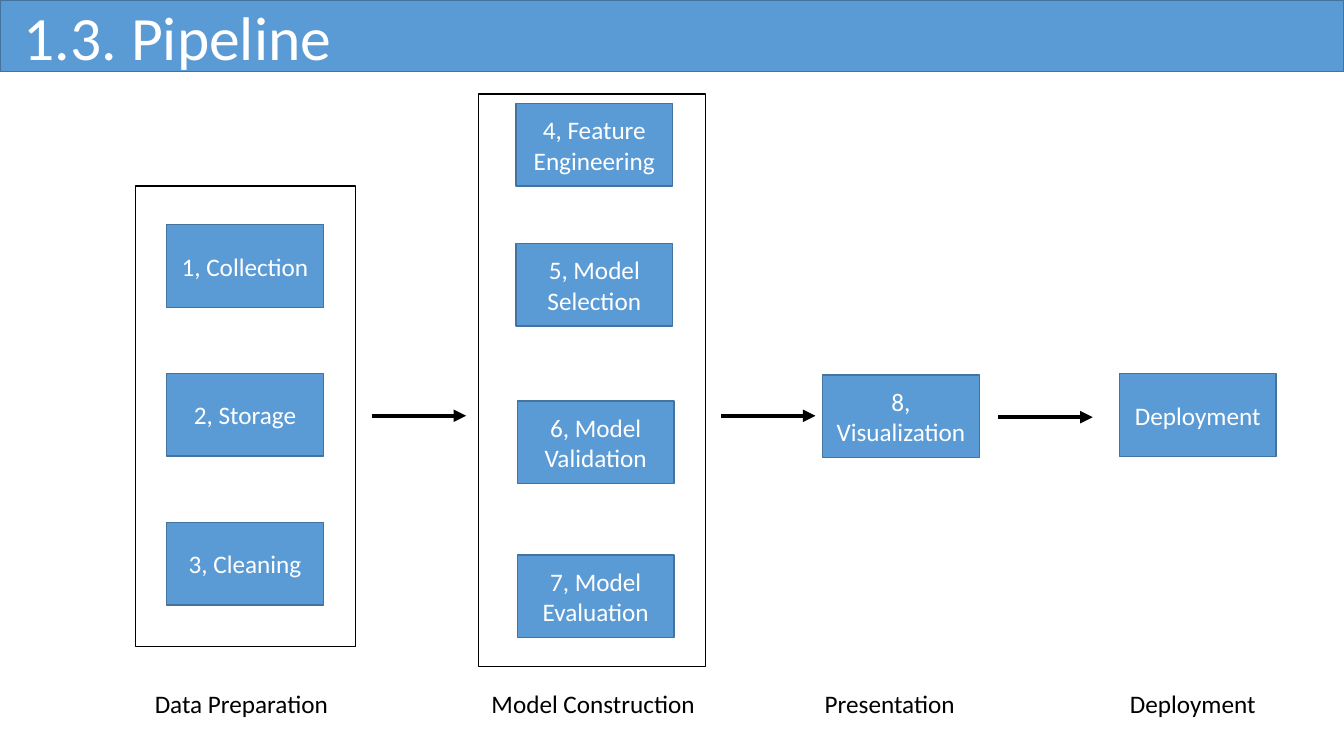
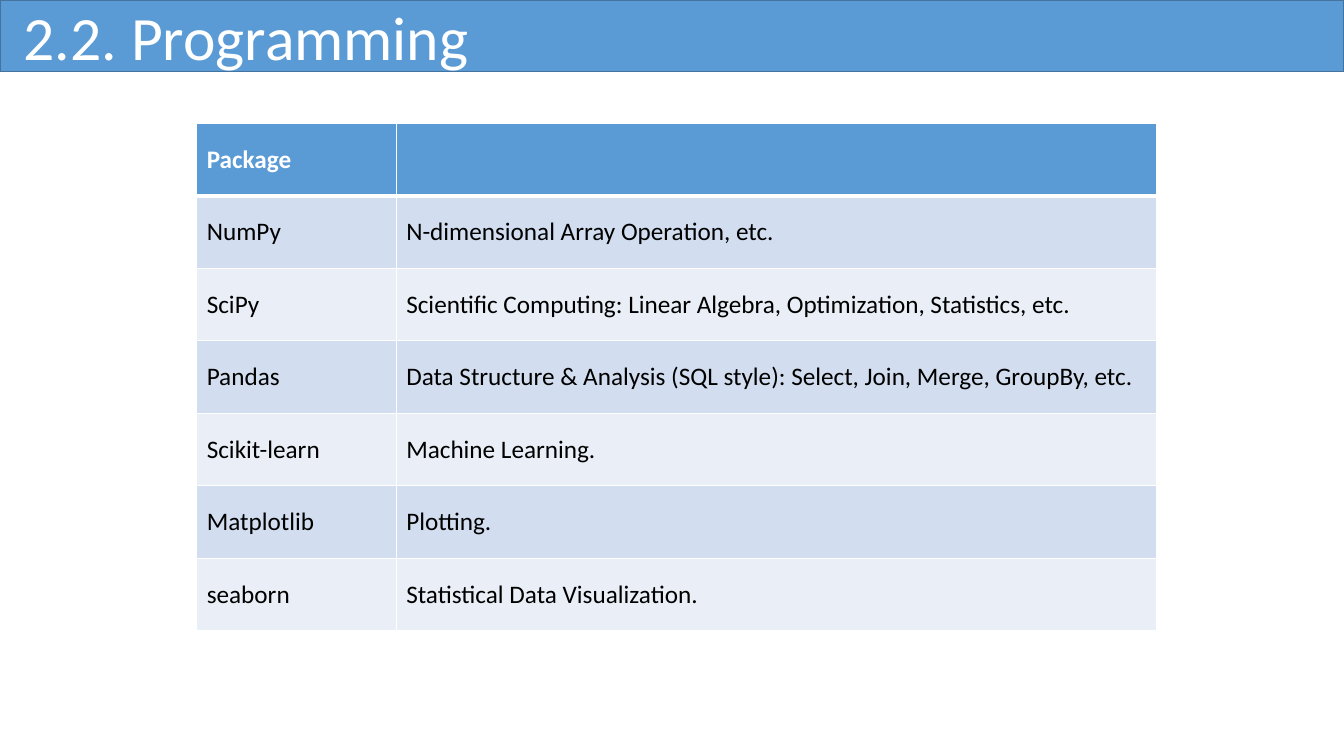
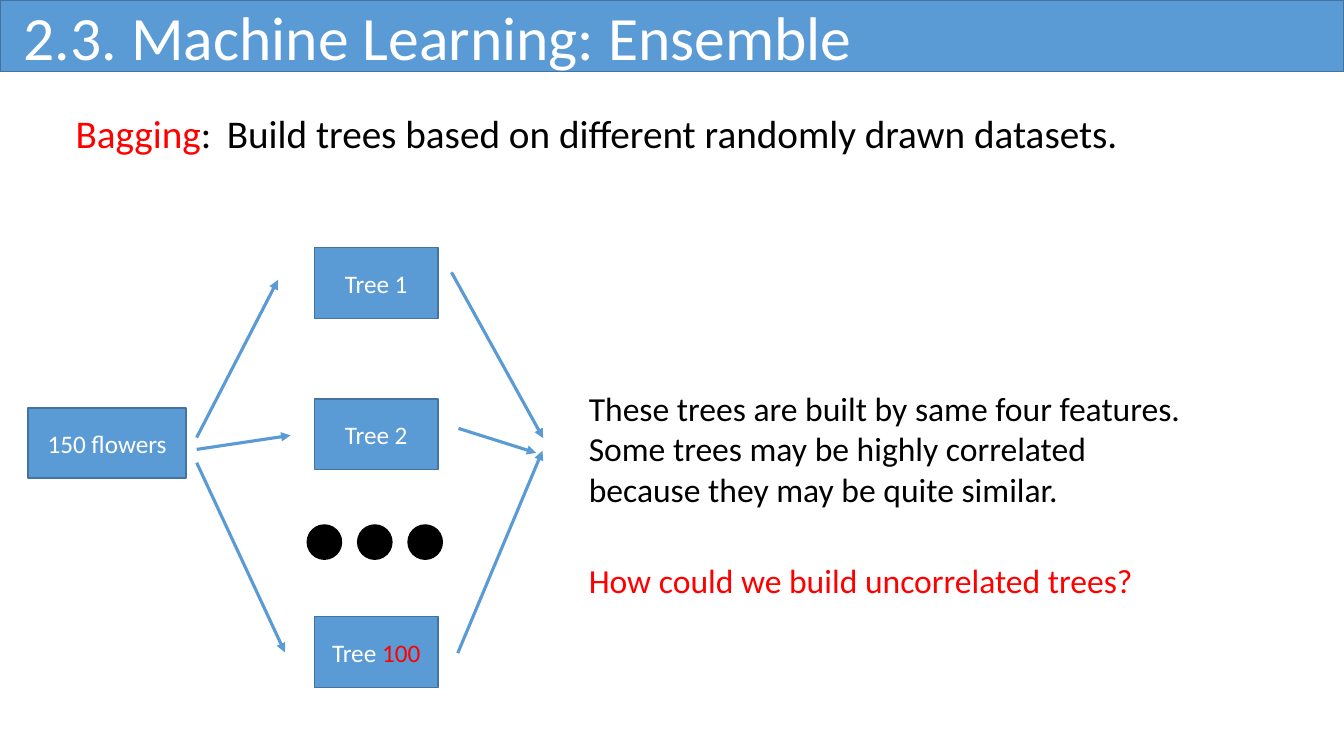
from lxml.etree import SubElement
from pptx import Presentation
from pptx.dml.color import RGBColor
from pptx.enum.shapes import MSO_CONNECTOR as Link, MSO_SHAPE as Kind
from pptx.enum.text import MSO_ANCHOR as Anchor, MSO_AUTO_SIZE as Fit, PP_ALIGN as Align
from pptx.oxml.ns import qn
from pptx.util import Pt

FONT = "Calibri"
BLUE, EDGE = "5B9BD5", "43739E"
WHITE, BLACK, RED = "FFFFFF", "000000", "FF0000"
BANDS = ("D2DEEF", "EAEFF7")
TOOLS = [
    ("Package", ""),
    ("NumPy", "N-dimensional Array Operation, etc."),
    ("SciPy", "Scientific Computing: Linear Algebra, Optimization, Statistics, etc."),
    ("Pandas", "Data Structure & Analysis (SQL style): Select, Join, Merge, GroupBy, etc."),
    ("Scikit-learn", "Machine Learning."),
    ("Matplotlib", "Plotting."),
    ("seaborn", "Statistical Data Visualization."),
]


def rgb(code):
    return RGBColor.from_string(code)


def paint(shape, fill, edge):
    """Set fill and outline; a fill of None leaves the shape hollow."""
    if fill:
        shape.fill.solid()
        shape.fill.fore_color.rgb = rgb(fill)
    else:
        shape.fill.background()
    shape.line.color.rgb = rgb(edge)
    shape.line.width = Pt(1)


def write(par, text, size=18, color=BLACK, bold=False):
    run = par.add_run()
    run.text = text
    font = run.font
    font.name, font.size, font.bold = FONT, Pt(size), bold
    font.color.rgb = rgb(color)


def add_page(deck, title):
    """Add a slide whose title placeholder forms the blue top band."""
    page = deck.slides.add_slide(deck.slide_layouts[5])
    band = page.shapes.title
    band.left, band.top, band.width, band.height = Pt(0), Pt(0), Pt(960), Pt(51)
    paint(band, BLUE, EDGE)
    frame = band.text_frame
    frame.auto_size = Fit.NONE
    frame.vertical_anchor = Anchor.MIDDLE
    frame.margin_left = Pt(17)
    par = frame.paragraphs[0]
    par.alignment = Align.LEFT
    write(par, title, 44, WHITE)
    return page.shapes


def add_form(shapes, kind, x, y, w, h, fill, edge):
    form = shapes.add_shape(kind, Pt(x), Pt(y), Pt(w), Pt(h))
    form.shadow.inherit = False
    paint(form, fill, edge)
    return form


def add_box(shapes, x, y, w, h, *parts):
    """Add a blue box; each part is a text or a (text, colour) pair."""
    frame = add_form(shapes, Kind.RECTANGLE, x, y, w, h, BLUE, EDGE).text_frame
    frame.word_wrap = True
    frame.vertical_anchor = Anchor.MIDDLE
    par = frame.paragraphs[0]
    par.alignment = Align.CENTER
    for part in parts:
        text, color = (part, WHITE) if isinstance(part, str) else part
        write(par, text, color=color)


def add_text(shapes, x, y, w, h, lines, size=18, color=BLACK):
    frame = shapes.add_textbox(Pt(x), Pt(y), Pt(w), Pt(h)).text_frame
    frame.word_wrap = False
    for i, line in enumerate(lines):
        par = frame.add_paragraph() if i else frame.paragraphs[0]
        write(par, line, size, color)


def add_arrow(shapes, start, end, color, width):
    ends = [Pt(n) for n in (*start, *end)]
    arrow = shapes.add_connector(Link.STRAIGHT, *ends)
    arrow.line.color.rgb = rgb(color)
    arrow.line.width = Pt(width)
    props = arrow.element.spPr
    SubElement(props.find(qn("a:ln")), qn("a:tailEnd"), type="triangle")
    SubElement(props, qn("a:effectLst"))


def set_edges(cell, **widths):
    """Draw white cell borders with widths in points, keyed L, R, T, B."""
    props = cell._tc.get_or_add_tcPr()
    for side, width in widths.items():
        line = SubElement(props, qn(f"a:ln{side}"), w=str(Pt(width)))
        fill = SubElement(line, qn("a:solidFill"))
        SubElement(fill, qn("a:srgbClr"), val=WHITE)


def add_table(shapes, rows, x, y, cols, high):
    table = shapes.add_table(len(rows), len(cols), Pt(x), Pt(y),
                             Pt(sum(cols)), Pt(high * len(rows))).table
    for col, width in zip(table.columns, cols):
        col.width = Pt(width)
    for r, row in enumerate(rows):
        table.rows[r].height = Pt(high)
        head = r == 0
        for c, text in enumerate(row):
            cell = table.cell(r, c)
            set_edges(cell, L=1, R=1, T=3 if r == 1 else 1, B=3 if head else 1)
            cell.fill.solid()
            cell.fill.fore_color.rgb = rgb(BLUE if head else BANDS[(r - 1) % 2])
            cell.vertical_anchor = Anchor.MIDDLE
            if text:
                write(cell.text_frame.paragraphs[0], text,
                      color=WHITE if head else BLACK, bold=head)


def draw_flow(deck):
    shapes = add_page(deck, "1.3. Pipeline")
    for frame in ((342, 67, 162, 409), (97, 133, 157, 329)):
        add_form(shapes, Kind.RECTANGLE, *frame, None, BLACK)
    steps = [(119, 160.5 + 106.3 * i, name) for i, name in
             enumerate(("1, Collection", "2, Storage", "3, Cleaning"))]
    steps += [
        (368.5, 74, "4, Feature Engineering"),
        (368.5, 174, "5, Model Selection"),
        (369.5, 286.5, "6, Model Validation"),
        (369.5, 396.5, "7, Model Evaluation"),
        (587.5, 268, "8, Visualization"),
        (799.5, 267, "Deployment"),
    ]
    for x, y, name in steps:
        add_box(shapes, x, y, 112, 59, name)
    for x, w, name in ((103.5, 144, "Data Preparation"), (344, 161, "Model Construction"),
                       (582, 109, "Presentation"), (800, 105, "Deployment")):
        add_text(shapes, x, 488, w, 29, [name])
    for x, y in ((265.5, 297), (515, 297), (713, 298)):
        add_arrow(shapes, (x, y), (x + 67.5, y), BLACK, 3)


def draw_tools(deck):
    shapes = add_page(deck, "2.2. Programming")
    add_table(shapes, TOOLS, 140.5, 88, (142.5, 543.5), 51.8)


def add_lead(shapes, term, text):
    """Add a red term and its meaning, set apart by a tab stop."""
    frame = shapes.add_textbox(Pt(47), Pt(78.5), Pt(797), Pt(60)).text_frame
    frame.word_wrap = True
    par = frame.paragraphs[0]
    par.line_spacing = 0.9
    par.space_before = Pt(5)
    tabs = SubElement(par._p.get_or_add_pPr(), qn("a:tabLst"))
    SubElement(tabs, qn("a:tab"), pos=str(Pt(108)), algn="l")
    write(par, term, 28, RED)
    write(par, f":\t{text}", 28)


def draw_trees(deck):
    shapes = add_page(deck, "2.3. Machine Learning: Ensemble")
    add_lead(shapes, "Bagging", "Build trees based on different randomly drawn datasets.")
    add_box(shapes, 20, 291.5, 113, 50, "150 flowers")
    for y, *parts in ((177, "Tree 1"), (285, "Tree 2"), (440.5, "Tree ", ("100", RED))):
        add_box(shapes, 224.5, y, 88.5, 50.5, *parts)
    for i in range(3):
        add_form(shapes, Kind.OVAL, 219.5 + 36 * i, 375, 24.5, 24.5, BLACK, BLACK)
    for start, end in (
        ((140.5, 312.5), (198.5, 200)), ((140.5, 321), (207.5, 311)),
        ((140.5, 330.5), (203.5, 466)), ((322.5, 194.5), (388, 313)),
        ((327, 466.5), (387.5, 322)), ((327.5, 306), (383, 323.5)),
    ):
        add_arrow(shapes, start, end, BLUE, 2.25)
    add_text(shapes, 413.5, 273.5, 446, 94, [
        "These trees are built by same four features.",
        "Some trees may be highly correlated",
        "because they may be quite similar."], 24)
    add_text(shapes, 413.5, 396.5, 407, 36,
             ["How could we build uncorrelated trees?"], 24, RED)


def main():
    deck = Presentation()
    deck.slide_width, deck.slide_height = Pt(960), Pt(540)
    for draw in (draw_flow, draw_tools, draw_trees):
        draw(deck)
    deck.save("out.pptx")


if __name__ == "__main__":
    main()
